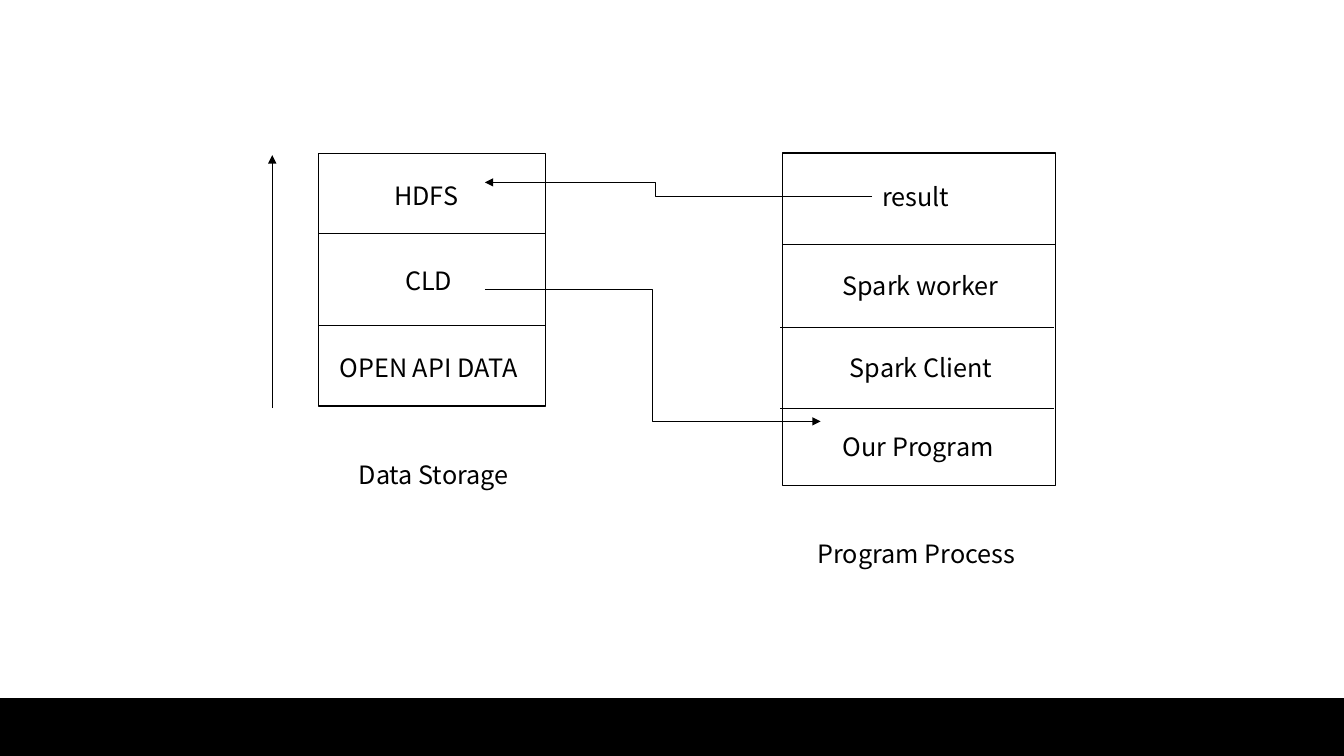
from lxml import etree
from pptx import Presentation
from pptx.dml.color import RGBColor
from pptx.enum.shapes import MSO_CONNECTOR, MSO_SHAPE
from pptx.enum.text import MSO_AUTO_SIZE
from pptx.oxml.ns import qn
from pptx.util import Inches, Pt

RECT = MSO_SHAPE.RECTANGLE
STRAIGHT = MSO_CONNECTOR.STRAIGHT
ELBOW = MSO_CONNECTOR.ELBOW
GROW = MSO_AUTO_SIZE.SHAPE_TO_FIT_TEXT
BLACK = RGBColor(0, 0, 0)
WHITE = RGBColor(255, 255, 255)
FONT = "Noto Sans CJK KR"

# Square grid: ten columns or rows to the inch.
CELL = Inches(0.1)
LABEL_H = 4

# Stack frames: column, row, width, height
STORE = (31.6, 15.2, 22.5, 25.1)
PROCESS = (77.6, 15.2, 27.1, 33)


def grid(*cells):
    return [round(cell * CELL) for cell in cells]


def add_box(slide, frame, fill=None):
    box = slide.shapes.add_shape(RECT, *grid(*frame))
    box.shadow.inherit = False
    if fill is None:
        box.fill.background()
    else:
        box.fill.solid()
        box.fill.fore_color.rgb = fill
    box.line.color.rgb = BLACK
    box.line.width = Pt(1)


def add_text(slide, text, col, row, width, size=18, color=BLACK, edge=None):
    box = slide.shapes.add_textbox(*grid(col, row, width, LABEL_H))
    if edge is not None:
        box.line.color.rgb = edge
        box.line.width = Pt(0.75)
    frame = box.text_frame
    frame.word_wrap = True
    frame.auto_size = GROW
    run = frame.paragraphs[0].add_run()
    run.text = text
    run.font.name = FONT
    run.font.size = Pt(size)
    run.font.color.rgb = color


def add_line(slide, start, end, kind=STRAIGHT, arrow=False, bend=None):
    """Draw a thin line; bend is the share of its width before an elbow turns."""
    line = slide.shapes.add_connector(kind, *grid(*start, *end))
    line.line.color.rgb = BLACK
    line.line.width = Pt(0.5)
    props = line._element.spPr
    etree.SubElement(props, qn("a:effectLst"))
    if arrow:
        etree.SubElement(props.find(qn("a:ln")), qn("a:tailEnd"), type="triangle")
    if bend is not None:
        guides = props.find(qn("a:prstGeom")).find(qn("a:avLst"))
        etree.SubElement(guides, qn("a:gd"), name="adj1",
                         fmla=f"val {round(bend * 100000)}")


def add_rules(slide, frame, rules):
    """Split a stack; each rule is a row and a shift to the left."""
    left, _, width, _ = frame
    for row, shift in rules:
        add_line(slide, (left - shift, row), (left + width - shift, row))


def main():
    deck = Presentation()
    deck.slide_width, deck.slide_height = Inches(13.33), Inches(7.5)
    slide = deck.slides.add_slide(deck.slide_layouts[6])

    add_box(slide, (-2.6, 69.3, 138.5, 7.8), fill=BLACK)

    for label in (("OPEN API DATA", 32.7, 34.5, 21.4),
                  ("CLD", 39.2, 25.8, 22.3),
                  ("HDFS", 38.1, 17.4, 21.1)):
        add_text(slide, *label, edge=WHITE)
    add_box(slide, STORE)
    add_line(slide, (27, 40.5), (27, 15.4), arrow=True)

    add_box(slide, PROCESS)
    for label in (("Data Storage", 34.6, 45.1, 17.9),
                  ("Our Program", 82.6, 42.3, 18.4),
                  ("Spark Client", 83.3, 34.5, 22.7),
                  ("Spark worker", 82.6, 26.3, 24),
                  ("result", 86.5, 17.5, 18.1),
                  ("Program Process", 80.1, 52.9, 25.3)):
        add_text(slide, *label)

    add_line(slide, (86.5, 19.5), (48.1, 18.1), ELBOW, arrow=True, bend=0.56)
    add_line(slide, (48.1, 28.7), (81.4, 41.8), ELBOW, arrow=True, bend=0.5)
    add_rules(slide, STORE, ((23.2, 0), (32.3, 0)))
    add_rules(slide, PROCESS, ((24.2, 0), (32.5, 0.2), (40.5, 0.2)))

    deck.save("out.pptx")


if __name__ == "__main__":
    main()
